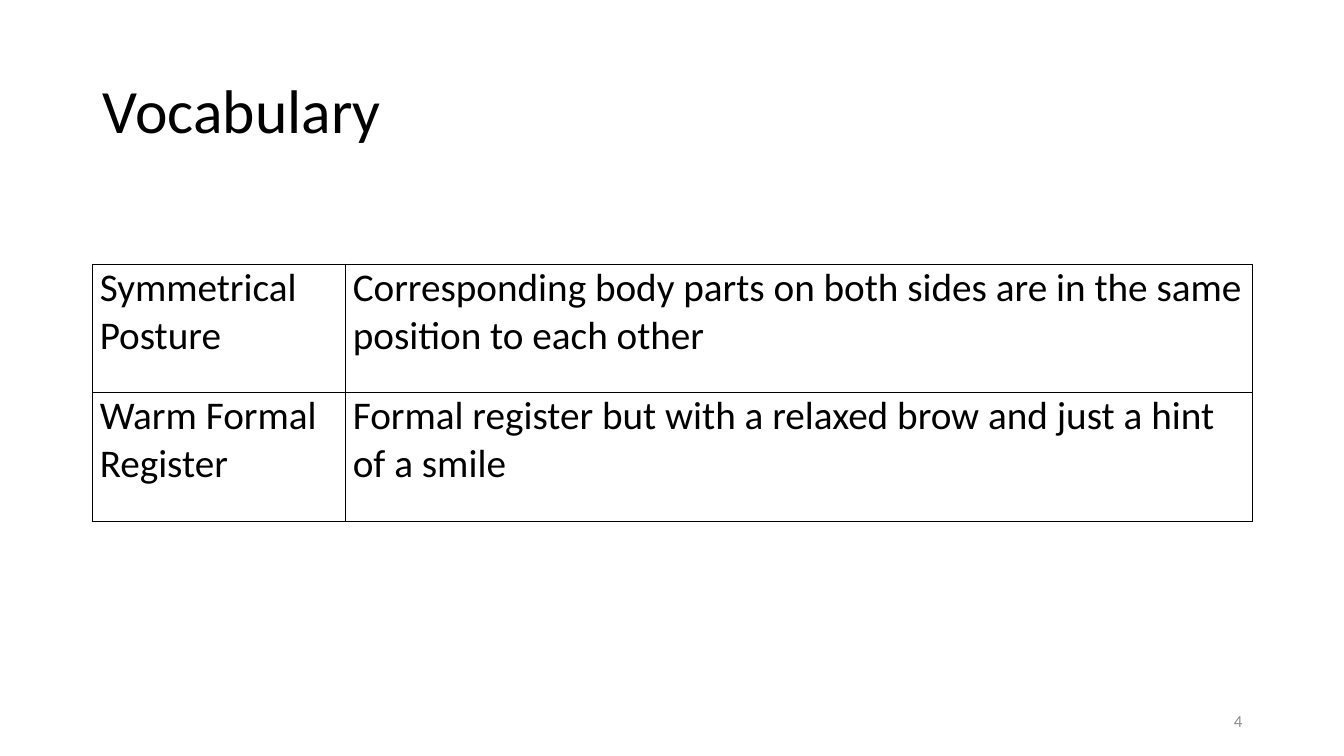
from lxml.etree import SubElement
from pptx import Presentation
from pptx.dml.color import RGBColor
from pptx.enum.text import MSO_ANCHOR, PP_ALIGN
from pptx.oxml.ns import qn
from pptx.util import Inches, Pt

BLACK = RGBColor(0x00, 0x00, 0x00)
GRAY = RGBColor(0x8C, 0x8C, 0x8C)
FONT = "Calibri"
VOCABULARY = [
    ("Symmetrical Posture",
     "Corresponding body parts on both sides are in the same position to each other"),
    ("Warm Formal Register",
     "Formal register but with a relaxed brow and just a hint of a smile"),
]


def style_paragraph(para, size, color, align=PP_ALIGN.LEFT):
    """Set the font and alignment of a paragraph."""
    para.alignment = align
    para.font.name = FONT
    para.font.size = Pt(size)
    para.font.color.rgb = color


def add_title(page, text, left, top, width, height):
    """Fill and place the title placeholder."""
    title = page.shapes.title
    title.left, title.top = Inches(left), Inches(top)
    title.width, title.height = Inches(width), Inches(height)
    frame = title.text_frame
    frame.text = text
    frame.word_wrap = True
    frame.vertical_anchor = MSO_ANCHOR.MIDDLE
    para = frame.paragraphs[0]
    para.line_spacing = 0.9
    style_paragraph(para, 44, BLACK)


def add_borders(cell):
    """Draw a thin black line on every side of a cell."""
    properties = cell._tc.get_or_add_tcPr()
    for side in ("a:lnL", "a:lnR", "a:lnT", "a:lnB"):
        line = SubElement(properties, qn(side), w=str(Pt(1)))
        fill = SubElement(line, qn("a:solidFill"))
        SubElement(fill, qn("a:srgbClr"), val=str(BLACK))


def fill_cell(cell, text):
    """Write and format one table cell."""
    add_borders(cell)
    cell.fill.background()
    cell.margin_left = cell.margin_right = Inches(0.07)
    cell.margin_top = cell.margin_bottom = 0
    cell.text = text
    para = cell.text_frame.paragraphs[0]
    para.space_after = Pt(6)
    style_paragraph(para, 28, BLACK)


def add_vocabulary(page, entries, left, top, width, height):
    """Place the table of terms and definitions."""
    term_width = 2.51
    table = page.shapes.add_table(
        len(entries), 2, Inches(left), Inches(top), Inches(width), Inches(height)
    ).table
    table.first_row = table.horz_banding = False
    table.columns[0].width = Inches(term_width)
    table.columns[1].width = Inches(width - term_width)
    for row, entry in zip(table.rows, entries):
        for cell, text in zip(row.cells, entry):
            fill_cell(cell, text)


def add_page_number(page, number, left, top, width, height):
    """Place the page number at the right of its box."""
    box = page.shapes.add_textbox(
        Inches(left), Inches(top), Inches(width), Inches(height))
    frame = box.text_frame
    frame.word_wrap = True
    frame.vertical_anchor = MSO_ANCHOR.MIDDLE
    frame.text = number
    style_paragraph(frame.paragraphs[0], 12, GRAY, PP_ALIGN.RIGHT)


def main():
    """Build the vocabulary slide and save the deck."""
    deck = Presentation()
    deck.slide_width, deck.slide_height = Inches(13.33), Inches(7.5)
    page = deck.slides.add_slide(deck.slide_layouts[5])
    add_title(page, "Vocabulary", 0.92, 0.4, 11.5, 1.45)
    add_vocabulary(page, VOCABULARY, 0.92, 2.62, 11.5, 2.55)
    add_page_number(page, "4", 9.42, 6.95, 3, 0.4)
    deck.save("out.pptx")


if __name__ == "__main__":
    main()
